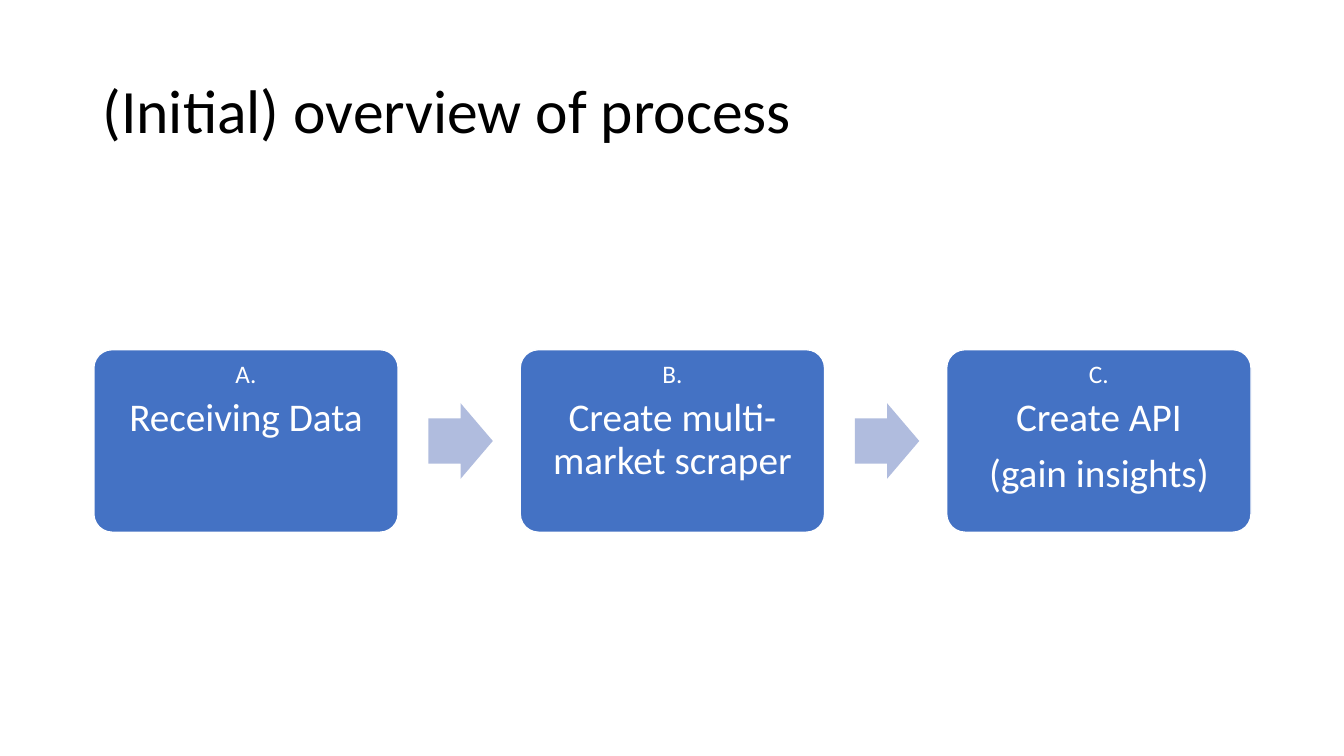
from dataclasses import dataclass

from pptx import Presentation
from pptx import util as u
from pptx.dml.color import RGBColor
from pptx.enum import shapes, text


@dataclass(frozen=True)
class Theme:
    font: str = "Calibri"
    title_color: str = "000000"
    box_color: str = "4472C4"
    arrow_color: str = "B0BCDE"
    light: str = "FFFFFF"
    title_size: int = 44
    step_size: int = 28
    letter_size: int = 18
    line_spacing: float = 0.9
    space_ratio: float = 0.35


class SlideBuilder:
    """Draw styled process elements on one slide, with lengths in points."""

    def __init__(self, slide, theme):
        self.slide = slide
        self.theme = theme

    def style(self, paragraph, size, color):
        paragraph.line_spacing = self.theme.line_spacing
        paragraph.font.name = self.theme.font
        paragraph.font.size = u.Pt(size)
        paragraph.font.color.rgb = RGBColor.from_string(color)

    def title(self, wording, left, top, width, height):
        title = self.slide.shapes.title
        title.left, title.top = u.Pt(left), u.Pt(top)
        title.width, title.height = u.Pt(width), u.Pt(height)
        frame = title.text_frame
        frame.text = wording
        frame.word_wrap = True
        frame.vertical_anchor = text.MSO_ANCHOR.MIDDLE
        paragraph = frame.paragraphs[0]
        paragraph.alignment = text.PP_ALIGN.LEFT
        self.style(paragraph, self.theme.title_size, self.theme.title_color)

    def shape(self, kind, adjustments, color, left, top, width, height):
        shape = self.slide.shapes.add_shape(
            kind, u.Pt(left), u.Pt(top), u.Pt(width), u.Pt(height))
        for index, value in enumerate(adjustments):
            shape.adjustments[index] = value
        shape.shadow.inherit = False
        shape.fill.solid()
        shape.fill.fore_color.rgb = RGBColor.from_string(color)
        shape.line.fill.background()
        return shape

    def step(self, letter, lines, left, top, width, height):
        box = self.shape(shapes.MSO_SHAPE.ROUNDED_RECTANGLE, [0.1],
                         self.theme.box_color, left, top, width, height)
        box.line.color.rgb = RGBColor.from_string(self.theme.light)
        box.line.width = u.Pt(1)
        frame = box.text_frame
        frame.word_wrap = True
        frame.vertical_anchor = text.MSO_ANCHOR.TOP
        frame.margin_left = frame.margin_right = u.Pt(5)
        frame.margin_top = frame.margin_bottom = u.Pt(5)
        frame.text = "\n".join([letter, *lines])
        for index, paragraph in enumerate(frame.paragraphs):
            size = self.theme.step_size if index else self.theme.letter_size
            paragraph.alignment = text.PP_ALIGN.CENTER
            paragraph.space_after = u.Pt(size * self.theme.space_ratio)
            self.style(paragraph, size, self.theme.light)

    def arrow(self, left, top, width, height):
        self.shape(shapes.MSO_SHAPE.RIGHT_ARROW, [0.6, 0.5],
                   self.theme.arrow_color, left, top, width, height)


STEPS = [
    ("A.", ["Receiving Data"]),
    ("B.", ["Create multi-market scraper"]),
    ("C.", ["Create API", "(gain insights)"]),
]


def main():
    presentation = Presentation()
    presentation.slide_width, presentation.slide_height = u.Pt(960), u.Pt(540)
    slide = presentation.slides.add_slide(presentation.slide_layouts[5])
    builder = SlideBuilder(slide, Theme())
    builder.title("(Initial) overview of process", 66, 28.8, 828, 104.4)

    first_left, pitch, middle = 67, 304.6, 315
    box_width, box_height = 217.4, 130.4
    arrow_offset, arrow_width, arrow_height = 239, 46, 54
    for index, (letter, lines) in enumerate(STEPS):
        left = first_left + index * pitch
        if index:
            builder.arrow(left - pitch + arrow_offset, middle - arrow_height / 2,
                          arrow_width, arrow_height)
        builder.step(letter, lines, left, middle - box_height / 2,
                     box_width, box_height)

    presentation.save("out.pptx")


if __name__ == "__main__":
    main()
